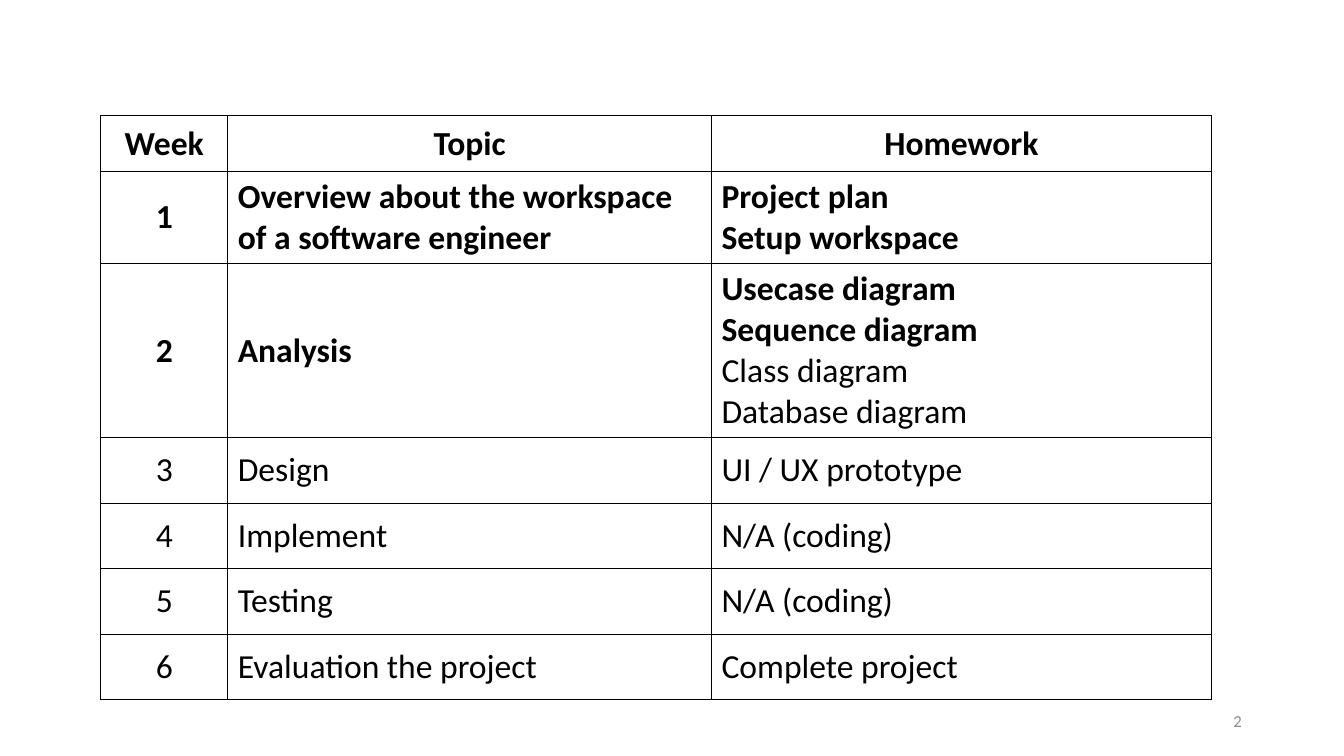
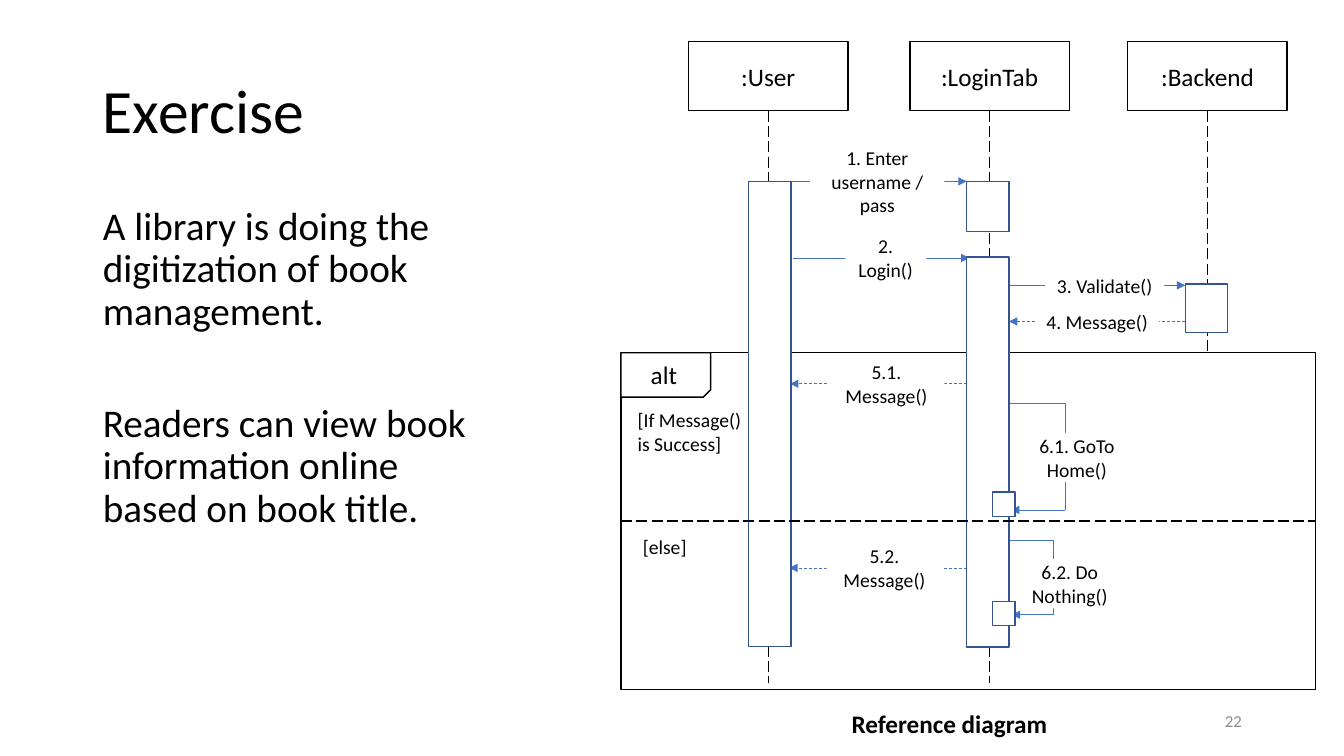
"""Build a course schedule slide and a sequence diagram exercise slide."""
from dataclasses import dataclass
from itertools import pairwise

from lxml.etree import SubElement
from pptx import Presentation
from pptx.dml.color import RGBColor
from pptx.enum.dml import MSO_LINE
from pptx.enum.shapes import MSO_CONNECTOR, MSO_SHAPE
from pptx.enum.text import MSO_ANCHOR, MSO_AUTO_SIZE, PP_ALIGN
from pptx.oxml import parse_xml
from pptx.oxml.ns import nsdecls, qn
from pptx.util import Cm, Pt


@dataclass(frozen=True)
class Theme:
    font: str = "Calibri"
    ink: str = "000000"
    paper: str = "FFFFFF"
    muted: str = "8C8C8C"
    arrow: str = "4472C4"
    bar: str = "325491"
    title: int = 44
    body: int = 28
    table: int = 24
    head: int = 18
    label: int = 14
    number: int = 12
    line: float = 1
    thin: float = 0.5


T = Theme()

COLUMNS = (("Week", 3.2), ("Topic", 12.19), ("Homework", 12.6))
SCHEDULE = [
    ("1", "Overview about the workspace of a software engineer",
     ["Project plan", "Setup workspace"], 2, 2.31),
    ("2", "Analysis",
     ["Usecase diagram", "Sequence diagram", "Class diagram", "Database diagram"], 2, 4.39),
    ("3", "Design", ["UI / UX prototype"], 0, 1.65),
    ("4", "Implement", ["N/A (coding)"], 0, 1.65),
    ("5", "Testing", ["N/A (coding)"], 0, 1.65),
    ("6", "Evaluation the project", ["Complete project"], 0, 1.65),
]
HEADER_HEIGHT = 1.4

EXERCISE = [
    "A library is doing the digitization of book management.",
    "Readers can view book information online based on book title.",
]

ACTOR_TOP, ACTOR_W, ACTOR_H = 1.04, 4.02, 1.75
ACTORS = [(":User", 19.36, 17.22), (":LoginTab", 24.94, 17.22), (":Backend", 30.43, 8.92)]

LABEL_H = 1.24
MESSAGES = [
    ("1. Enter username / pass", 19.94, 24.36, 4.57, False, 20.42, 3.38),
    ("2. Login()", 19.99, 24.43, 6.5, False, 21.29, 2.06),
    ("3. Validate()", 25.04, 29.87, 7.19, False, 26.34, 3),
    ("4. Message()", 29.87, 25.43, 8.1, True, 26.09, 3.12),
    ("5.1. Message()", 24.36, 19.91, 9.67, True, 20.88, 2.92),
    ("5.2. Message()", 24.36, 19.89, 14.31, True, 20.83, 2.92),
]
LOOP_START, LOOP_LABEL_W = 25.35, 2.92
LOOPS = [
    (["6.1. GoTo", "Home()"], 10.16, 26.85, 12.85, 25.48, 25.68, 11.53),
    (["6.2. Do", "Nothing()"], 13.61, 26.54, 15.49, 25.5, 25.5, 14.71),
]

FRAME = (15.65, 8.89, 17.5, 8.48)
TAB_SIZE = (2.26, 1.12)
DIVIDER_Y = 13.13
FRAME_TEXTS = [
    ("alt", T.head, (16.15, 8.92, 1.88, 1.02)),
    ("[If Message() is Success]", T.label, (15.82, 10.16, 3.3, 1.45)),
    ("[else]", T.label, (15.95, 13.36, 2.79, 0.86)),
]
BAR_W = 1.07
BARS = [(18.87, 4.57, 11.73), (24.36, 4.57, 1.27), (24.36, 6.48, 9.83), (29.87, 7.16, 1.22)]
NESTED_BARS = [(25.02, 15.16, 0.56, 0.61), (25.02, 12.4, 0.56, 0.61)]


def rgb(color):
    return RGBColor.from_string(color)


def add_run(p, text, size, color=T.ink, bold=False):
    r = p.add_run()
    r.text = text
    f = r.font
    f.name, f.size, f.bold = T.font, Pt(size), bold
    f.color.rgb = rgb(color)


def write(tf, lines, size, align=PP_ALIGN.LEFT, color=T.ink, bold=0):
    """Write one paragraph a line, the first `bold` of them in bold."""
    for i, line in enumerate(lines):
        p = tf.add_paragraph() if i else tf.paragraphs[0]
        p.alignment = align
        add_run(p, line, size, color, i < bold)


def add_text(s, text, size, box, anchor=MSO_ANCHOR.TOP, **style):
    tf = s.shapes.add_textbox(*map(Cm, box)).text_frame
    tf.word_wrap = True
    tf.vertical_anchor = anchor
    write(tf, [text], size, **style)


def add_box(s, box, fill=T.paper, line=None, lines=(), size=T.label, kind=MSO_SHAPE.RECTANGLE):
    sp = s.shapes.add_shape(kind, *map(Cm, box))
    sp.shadow.inherit = False
    if fill:
        sp.fill.solid()
        sp.fill.fore_color.rgb = rgb(fill)
    else:
        sp.fill.background()
    if line:
        sp.line.color.rgb = rgb(line)
        sp.line.width = Pt(T.line)
    else:
        sp.line.fill.background()
    tf = sp.text_frame
    tf.word_wrap = True
    tf.vertical_anchor = MSO_ANCHOR.MIDDLE
    write(tf, lines, size, PP_ALIGN.CENTER)
    return sp


def add_line(s, start, end, color=T.ink, width=T.line, dash=None, arrow=False):
    cx = s.shapes.add_connector(MSO_CONNECTOR.STRAIGHT, *map(Cm, (*start, *end)))
    cx.line.color.rgb = rgb(color)
    cx.line.width = Pt(width)
    if dash:
        cx.line.dash_style = dash
    if arrow:
        SubElement(cx.line._get_or_add_ln(), qn("a:tailEnd"), type="triangle")
    SubElement(cx._element.spPr, qn("a:effectLst"))


def add_number(s, number):
    add_text(s, number, T.number, (23.93, 17.65, 7.62, 1.02), MSO_ANCHOR.MIDDLE,
             align=PP_ALIGN.RIGHT, color=T.muted)


def fill_cell(cell, lines, align, bold):
    cell.fill.solid()
    cell.fill.fore_color.rgb = rgb(T.paper)
    cell.vertical_anchor = MSO_ANCHOR.MIDDLE
    write(cell.text_frame, lines, T.table, align, bold=bold)
    tcPr = cell._tc.get_or_add_tcPr()
    for i, side in enumerate(("lnL", "lnR", "lnT", "lnB")):
        tcPr.insert(i, parse_xml(
            f'<a:{side} {nsdecls("a")} w="{Pt(T.line)}"><a:solidFill>'
            f'<a:srgbClr val="{T.ink}"/></a:solidFill></a:{side}>'))


def build_schedule(prs):
    s = prs.slides.add_slide(prs.slide_layouts[6])
    widths = [w for _, w in COLUMNS]
    heights = [HEADER_HEIGHT] + [row[-1] for row in SCHEDULE]
    box = (2.54, 2.92, sum(widths), sum(heights))
    table = s.shapes.add_table(len(heights), len(widths), *map(Cm, box)).table
    table.first_row = table.horz_banding = False
    for column, width in zip(table.columns, widths):
        column.width = Cm(width)
    for row, height in zip(table.rows, heights):
        row.height = Cm(height)
    for c, (name, _) in enumerate(COLUMNS):
        fill_cell(table.cell(0, c), [name], PP_ALIGN.CENTER, 1)
    for i, (week, topic, homework, bold, _) in enumerate(SCHEDULE, 1):
        for c, lines in enumerate(([week], [topic], homework)):
            fill_cell(table.cell(i, c), lines, PP_ALIGN.LEFT if c else PP_ALIGN.CENTER, bold)
    add_number(s, "2")


def place(sp, box, anchor):
    sp.left, sp.top, sp.width, sp.height = map(Cm, box)
    tf = sp.text_frame
    tf.word_wrap = True
    tf.auto_size = MSO_AUTO_SIZE.NONE
    tf.vertical_anchor = anchor
    return tf


def add_exercise_text(s):
    tf = place(s.shapes.title, (2.34, 1.02, 29.21, 3.68), MSO_ANCHOR.MIDDLE)
    write(tf, ["Exercise"], T.title)
    tf.paragraphs[0].line_spacing = 0.9
    tf = place(s.placeholders[1], (2.34, 5.08, 10.44, 12.09), MSO_ANCHOR.TOP)
    write(tf, EXERCISE, T.body)
    for i, p in enumerate(tf.paragraphs):
        pPr = p._p.get_or_add_pPr()
        pPr.set("marL", "0")
        pPr.set("indent", "0")
        SubElement(pPr, qn("a:buNone"))
        p.line_spacing = 0.9
        p.space_before = Pt(50 if i else 0)


def add_label(s, lines, x, middle, width):
    add_box(s, (x, middle - LABEL_H / 2, width, LABEL_H), lines=lines)


def add_diagram(s):
    for name, x, _ in ACTORS:
        add_box(s, (x - ACTOR_W / 2, ACTOR_TOP, ACTOR_W, ACTOR_H), line=T.ink,
                lines=[name], size=T.head)
    for _, x, bottom in ACTORS:
        add_line(s, (x, ACTOR_TOP + ACTOR_H), (x, bottom), dash=MSO_LINE.LONG_DASH)

    left, top, width, _ = FRAME
    add_box(s, FRAME, fill=None, line=T.ink)
    tab = add_box(s, (left, top, *TAB_SIZE), line=T.ink, kind=MSO_SHAPE.SNIP_1_RECTANGLE)
    tab._element.spPr.get_or_add_xfrm().set("flipV", "1")
    for text, size, box in FRAME_TEXTS:
        add_text(s, text, size, box)

    for text, x1, x2, y, reply, label_x, label_w in MESSAGES:
        add_line(s, (x1, y), (x2, y), T.arrow, T.thin, MSO_LINE.DASH if reply else None, True)
        add_label(s, [text], label_x, y, label_w)
    for lines, y1, turn, y2, end, label_x, label_y in LOOPS:
        points = [(LOOP_START, y1), (turn, y1), (turn, y2), (end, y2)]
        for a, b in pairwise(points):
            add_line(s, a, b, T.arrow, T.thin, arrow=b == points[-1])
        add_label(s, lines, label_x, label_y, LOOP_LABEL_W)

    for x, y, height in BARS:
        add_box(s, (x, y, BAR_W, height), line=T.bar)
    add_line(s, (left, DIVIDER_Y), (left + width, DIVIDER_Y), dash=MSO_LINE.LONG_DASH)
    for box in NESTED_BARS:
        add_box(s, box, line=T.bar)
    add_text(s, "Reference diagram", T.head, (21.21, 17.73, 7.04, 1.02), bold=1)


def build_exercise(prs):
    s = prs.slides.add_slide(prs.slide_layouts[1])
    add_exercise_text(s)
    add_number(s, "22")
    add_diagram(s)


def main():
    prs = Presentation()
    prs.slide_width, prs.slide_height = Cm(33.87), Cm(19.05)
    build_schedule(prs)
    build_exercise(prs)
    prs.save("out.pptx")


if __name__ == "__main__":
    main()
